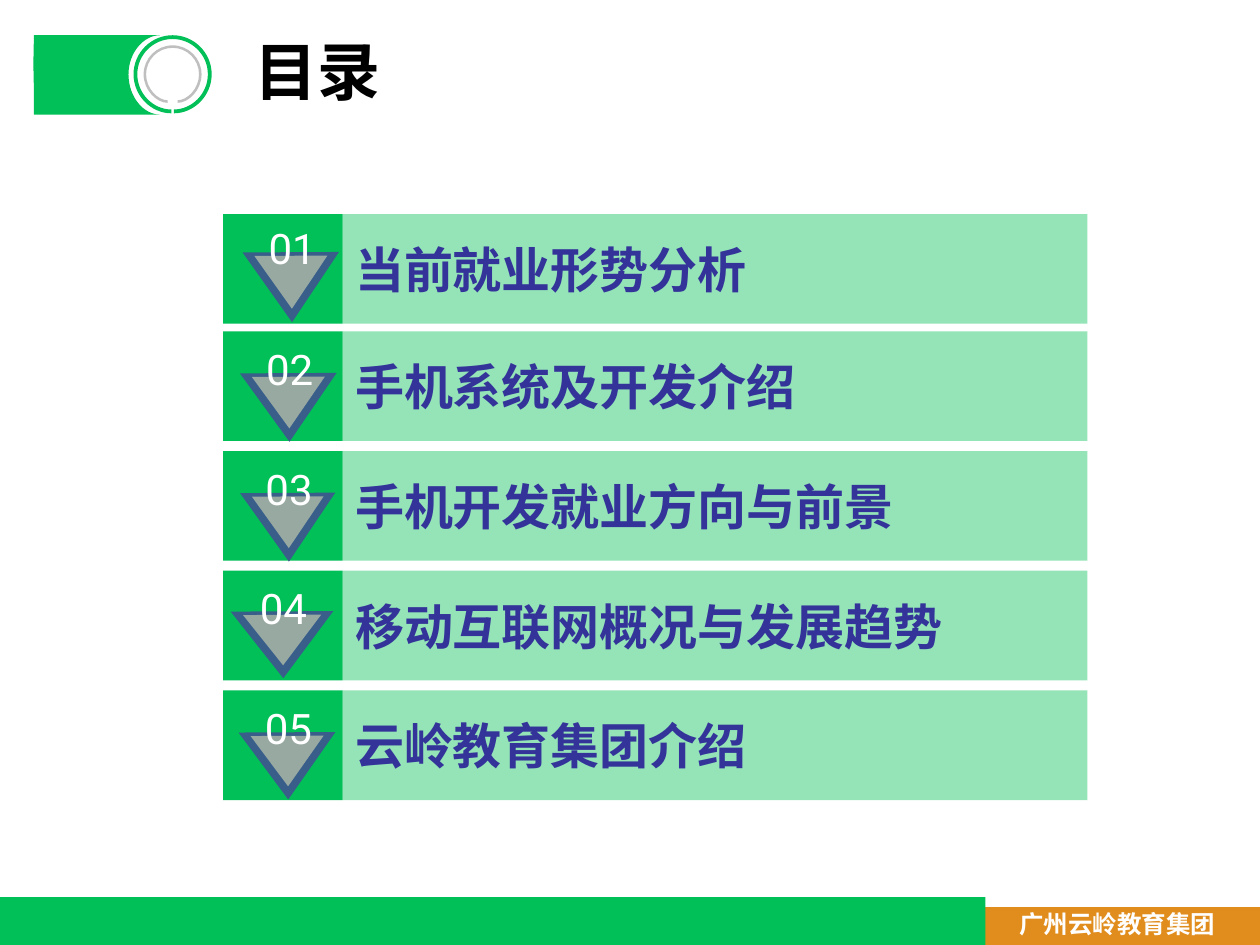
from lxml.etree import Element, SubElement
from pptx import Presentation
from pptx.dml.color import RGBColor
from pptx.enum.shapes import MSO_SHAPE as Shape
from pptx.enum.text import MSO_ANCHOR as Anchor, PP_ALIGN as Align
from pptx.oxml.ns import qn
from pptx.util import Inches, Pt

TITLE = "目录"
FOOTER = "广州云岭教育集团"
# topic, row top, then left, top, width and height of the row's triangle
ROWS = [
    ("当前就业形势分析", 1.70, (2.00, 2.04, 0.62, 0.45)),
    ("手机系统及开发介绍", 2.63, (1.98, 3.00, 0.62, 0.44)),
    ("手机开发就业方向与前景", 3.58, (1.98, 3.95, 0.61, 0.44)),
    ("移动互联网概况与发展趋势", 4.53, (1.91, 4.89, 0.66, 0.43)),
    ("云岭教育集团介绍", 5.48, (1.97, 5.85, 0.62, 0.43)),
]
# Outline steps: one point is a line, three points are a Bézier curve
BANNER = [
    [(0.27, 0.28)],
    [(1.27, 0.28)],
    [(1.14, 0.28), (1.02, 0.42), (1.02, 0.59)],
    [(1.02, 0.77), (1.14, 0.91), (1.27, 0.91)],
    [(0.27, 0.91)],
    [(0.27, 0.48), (0.26, 0.65), (0.27, 0.28)],
]
COLORS = {
    "green": "00C057", "orange": "E18D1D", "gray": "BFBFBF", "white": "FFFFFF",
    "black": "000000", "navy": "333399", "blue": "395E8A", "sage": "98A9A1",
}
CJK, LATIN = "Noto Sans CJK SC", "Roboto"
BAR_LEFT, BAR_WIDTH, ROW_HEIGHT = 2.72, 5.91, 0.87
TAB_LEFT, TAB_WIDTH = 1.77, 0.95
BEND = 0.55  # control-point distance of a quarter circle, as a share of radius


def color(name):
    return RGBColor.from_string(COLORS[name])


def write(shape, text, size, ink, font=CJK, bold=True, align=Align.LEFT,
          anchor=Anchor.MIDDLE, wrap=True):
    frame = shape.text_frame
    frame.word_wrap = wrap
    frame.vertical_anchor = anchor
    frame.margin_left = frame.margin_right = Inches(0.1)
    frame.margin_top = frame.margin_bottom = Inches(0.05)
    para = frame.paragraphs[0]
    para.alignment = align
    span = para.add_run()
    span.text = text
    span.font.size = Pt(size)
    span.font.bold = bold
    span.font.color.rgb = color(ink)
    span.font.name = font
    SubElement(span.font._element, qn("a:ea")).set("typeface", font)


def paint(shape, fill, line=None, line_width=0, alpha=None):
    shape.shadow.inherit = False
    shape.fill.solid()
    shape.fill.fore_color.rgb = color(fill)
    if alpha:
        tint = shape.fill._xPr.find(qn("a:solidFill"))[0]
        SubElement(tint, qn("a:alpha")).set("val", str(alpha * 1000))
    if line:
        shape.line.color.rgb = color(line)
        shape.line.width = Pt(line_width)
        SubElement(shape.line._ln, qn("a:miter")).set("lim", "800000")
    else:
        shape.line.fill.background()
    return shape


def add_block(shapes, kind, box, fill, **style):
    return paint(shapes.add_shape(kind, *map(Inches, box)), fill, **style)


def add_triangle(shapes, box, fill, **style):
    triangle = add_block(shapes, Shape.ISOSCELES_TRIANGLE, box, fill, **style)
    triangle.adjustments[0] = 0.491
    triangle.rotation = 179.7


def add_outline(shapes, steps, fill):
    """Draw the steps as lines, then join each group of three into a curve."""
    points = [(Inches(x), Inches(y)) for step in steps for x, y in step]
    builder = shapes.build_freeform(*points[0])
    builder.add_line_segments(points[1:], close=True)
    outline = paint(builder.convert_to_shape(), fill)
    lines = iter(list(outline._element.iter(qn("a:lnTo"))))
    for step in steps[1:]:
        group = [next(lines) for _ in step]
        if len(group) == 3:
            curve = Element(qn("a:cubicBezTo"))
            group[0].addprevious(curve)
            for line in group:
                curve.append(line[0])
                line.getparent().remove(line)


def circle(x, y, radius, half_gap):
    """Points of four curves, clockwise, with a gap at the bottom."""
    bend = BEND * radius
    left, right, top = x - radius, x + radius, y - radius
    bottom = y + (radius ** 2 - half_gap ** 2) ** 0.5
    return [
        (x - half_gap, bottom), (x - bend, bottom), (left, y + bend), (left, y),
        (left, y - bend), (x - bend, top), (x, top),
        (x + bend, top), (right, y - bend), (right, y),
        (right, y + bend), (x + bend, bottom), (x + half_gap, bottom),
    ]


def add_open_ring(shapes, center, outer, inner, half_gap, fill):
    steps = []
    for points in (circle(*center, inner, half_gap),
                   circle(*center, outer, half_gap)[::-1]):
        steps.append(points[:1])
        steps += [points[i:i + 3] for i in range(1, len(points), 3)]
    add_outline(shapes, steps, fill)


def add_frame(shapes):
    add_block(shapes, Shape.RECTANGLE, (7.52, 7.2, 2.48, 0.3), "orange")
    add_block(shapes, Shape.RECTANGLE, (0, 7.12, 7.82, 0.38), "green")
    footer = shapes.add_textbox(*map(Inches, (7.99, 7.16, 1.76, 0.34)))
    write(footer, FOOTER, 14, "white", wrap=False)
    add_outline(shapes, BANNER, "green")
    center = (1.37, 0.59)
    add_open_ring(shapes, center, 0.31, 0.28, 0.01, "green")
    add_open_ring(shapes, center, 0.23, 0.21, 0.04, "gray")


def add_badge(shapes, number, box):
    left, top, width, height = box
    group = shapes.add_group_shape().shapes
    add_triangle(group, box, "white", line="blue", line_width=5.5)
    add_triangle(group, (left + 0.02, top - 0.01, width - 0.04, height - 0.03),
                 "sage")
    label = group.add_textbox(*map(Inches, (left - 0.05, top - 0.32,
                                            width + 0.12, 0.39)))
    write(label, f"{number:02}", 24, "white", font=LATIN, bold=False,
          align=Align.CENTER, anchor=Anchor.TOP)


def main():
    deck = Presentation()
    deck.slide_width, deck.slide_height = Inches(10), Inches(7.5)
    page = deck.slides.add_slide(deck.slide_layouts[5])
    title = page.shapes.title
    title.left, title.top, title.width, title.height = map(
        Inches, (1.92, 0.2, 2.26, 0.71))
    write(title, TITLE, 36, "black")
    add_frame(page.shapes)
    for topic, top, _ in ROWS:
        bar = add_block(page.shapes, Shape.RECTANGLE,
                        (BAR_LEFT, top, BAR_WIDTH, ROW_HEIGHT), "green", alpha=42)
        write(bar, topic, 28, "navy")
    for _, top, _ in ROWS:
        add_block(page.shapes, Shape.RECTANGLE,
                  (TAB_LEFT, top, TAB_WIDTH, ROW_HEIGHT), "green")
    for number, (_, _, triangle) in enumerate(ROWS, 1):
        add_badge(page.shapes, number, triangle)
    deck.save("out.pptx")


if __name__ == "__main__":
    main()
